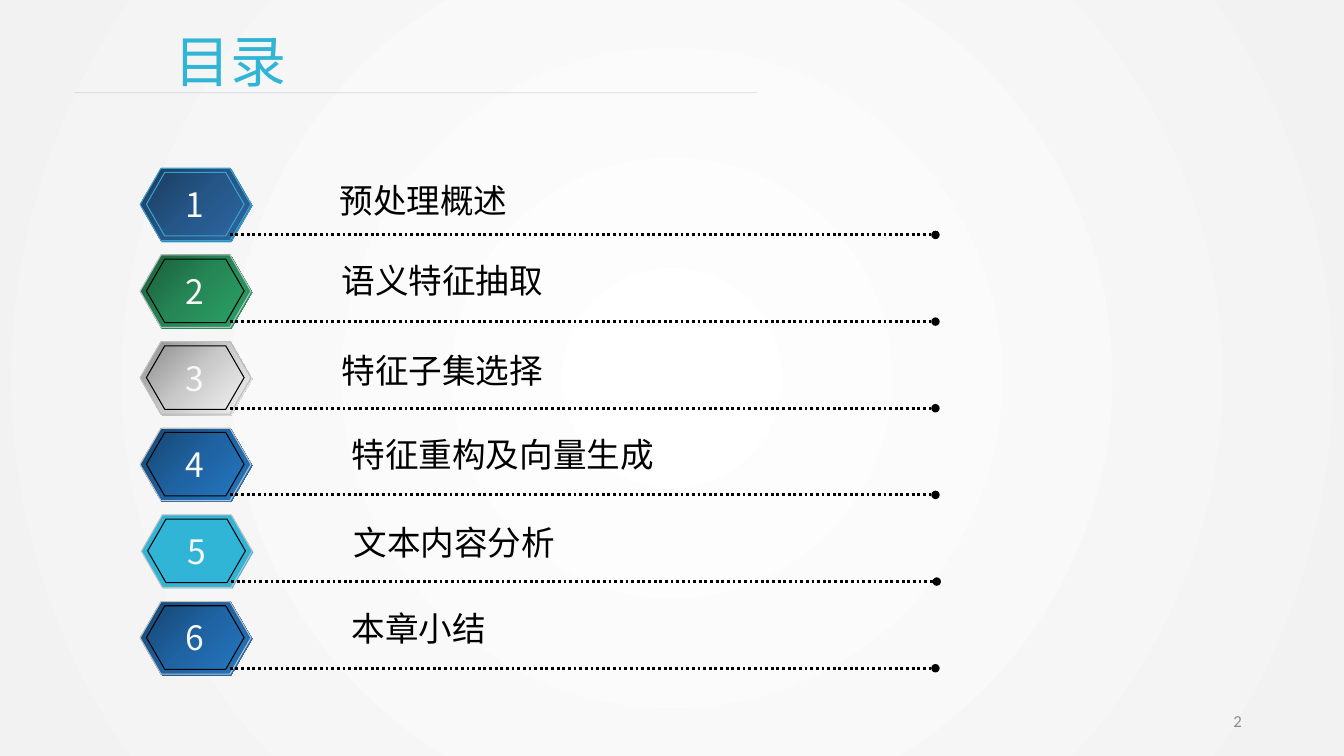
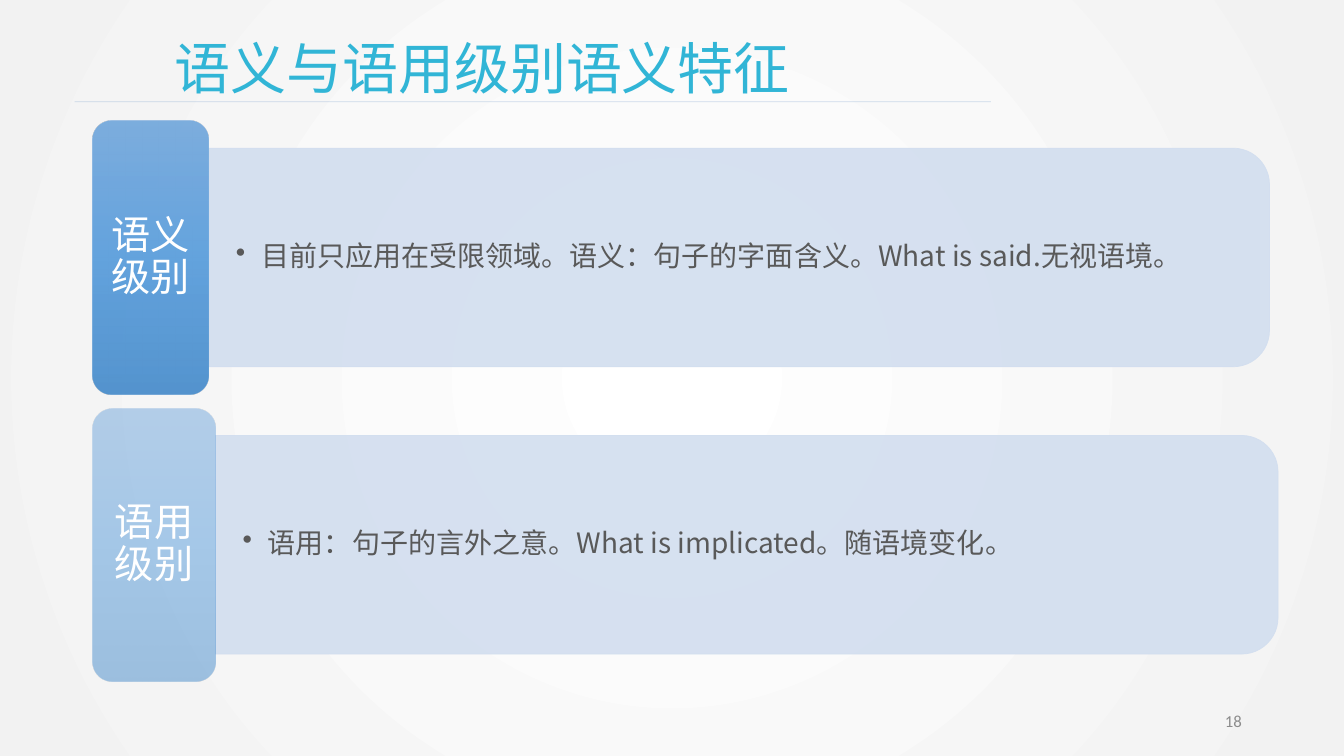
from dataclasses import dataclass
from pptx import Presentation
from pptx.dml.color import RGBColor
from pptx.enum.dml import MSO_LINE
from pptx.enum.shapes import MSO_CONNECTOR, MSO_SHAPE
from pptx.enum.text import MSO_ANCHOR, MSO_AUTO_SIZE, PP_ALIGN
from pptx.oxml import parse_xml
from pptx.oxml.ns import nsdecls, qn
from pptx.util import Pt


@dataclass(frozen=True)
class Theme:
    """Hold the colours, fonts and type sizes of the deck."""
    face: str = "Noto Sans CJK SC"
    plain: str = "Calibri"
    accent: str = "31B5D6"
    ink: str = "000000"
    white: str = "FFFFFF"
    digit: str = "F8F8F8"
    body: str = "595959"
    folio: str = "8C8C8C"
    rule: str = "4A7EBB"
    rim: str = "C0C0C0"
    glow: str = "3DA2CB"
    panel: str = "D2DEEF"
    back: tuple = ("FFFFFF", "F2F2F2")
    navy: tuple = ("1A3C5F", "255687", "2B66A1")
    green: tuple = ("1A5F3C", "258756", "2BA166")
    grey: tuple = ("8F8E8E", "CBCACA", "F1F0F0")
    blue: tuple = ("164672", "1F63A2", "2476C0")
    tab: tuple = ("71A6DB", "559BDB", "448ACA")
    head: int = 40
    label: int = 28
    item: int = 24
    text: int = 20
    small: int = 12


T = Theme()
ROUND = '<a:path path="circle"><a:fillToRect l="50000" t="50000" r="50000" b="50000"/></a:path>'


def slant(angle):
    """Return the direction of a linear gradient."""
    return f'<a:lin ang="{angle * 60000}" scaled="0"/>'


def blend(node, stops, way):
    """Turn the solid fill of a node into an even gradient."""
    last = len(stops) - 1
    marks = "".join(
        f'<a:gs pos="{100000 * i // last}"><a:srgbClr val="{c}"/></a:gs>'
        for i, c in enumerate(stops))
    node.replace(node.find(qn("a:solidFill")), parse_xml(
        f'<a:gradFill {nsdecls("a")} rotWithShape="1"><a:gsLst>{marks}</a:gsLst>{way}</a:gradFill>'))


def veil(shape, share):
    """Give every colour of a shape an opacity in percent."""
    for tone in shape._element.spPr.iter(qn("a:srgbClr")):
        tone.append(parse_xml(f'<a:alpha {nsdecls("a")} val="{share * 1000}"/>'))


def block(shapes, kind, frame, fill, edge=None, width=0.75, angle=45):
    """Add a preset shape with a solid or gradient fill."""
    shape = shapes.add_shape(kind, *map(Pt, frame))
    shape.shadow.inherit = False
    shape.fill.solid()
    if isinstance(fill, tuple):
        blend(shape._element.spPr, fill, slant(angle))
    else:
        shape.fill.fore_color.rgb = RGBColor.from_string(fill)
    if edge:
        shape.line.color.rgb = RGBColor.from_string(edge)
        shape.line.width = Pt(width)
    else:
        shape.line.fill.background()
    return shape


def write(shape, words, size, tone, face=T.face, align=PP_ALIGN.LEFT,
          anchor=MSO_ANCHOR.TOP, wrap=True, pad=(7.2, 3.6), lead=None, dot=False):
    """Set one styled paragraph in a shape."""
    frame = shape.text_frame
    frame.auto_size = MSO_AUTO_SIZE.NONE
    frame.word_wrap = wrap
    frame.vertical_anchor = anchor
    frame.margin_left = frame.margin_right = Pt(pad[0])
    frame.margin_top = frame.margin_bottom = Pt(pad[1])
    para = frame.paragraphs[0]
    para.alignment = align
    if lead:
        para.line_spacing = lead
    if dot:
        props = para._p.get_or_add_pPr()
        props.set("marL", str(Pt(18)))
        props.set("indent", str(-Pt(18)))
        props.append(parse_xml(f'<a:buChar {nsdecls("a")} char="•"/>'))
    run = para.add_run()
    run.text = words
    run.font.size = Pt(size)
    run.font.name = face
    run.font.color.rgb = RGBColor.from_string(tone)
    run._r.get_or_add_rPr().append(parse_xml(f'<a:ea {nsdecls("a")} typeface="{face}"/>'))


def note(shapes, frame, words, size, tone, **style):
    """Add a text box."""
    write(shapes.add_textbox(*map(Pt, frame)), words, size, tone, **style)


def rule(shapes, left, right, top, tone, width, share=None, dots=False):
    """Add a level line, either faint or dotted with a round end."""
    line = shapes.add_connector(MSO_CONNECTOR.STRAIGHT, Pt(left), Pt(top), Pt(right), Pt(top))
    line.line.color.rgb = RGBColor.from_string(tone)
    line.line.width = Pt(width)
    props = line._element.spPr
    if dots:
        line.line.dash_style = MSO_LINE.ROUND_DOT
        props.find(qn("a:ln")).append(parse_xml(f'<a:tailEnd {nsdecls("a")} type="oval"/>'))
    if share:
        veil(line, share)
    props.append(parse_xml(f'<a:effectLst {nsdecls("a")}/>'))


def page(deck, title, top, end, under, folio):
    """Add a slide with its title, title rule and number."""
    slide = deck.slides.add_slide(deck.slide_layouts[5])
    head = slide.shapes.title
    head.left, head.top, head.width, head.height = map(Pt, (117.4, top, 612, 55.4))
    write(head, title, T.head, T.accent)
    rule(slide.shapes, 53.3, end, under, T.rule, 0.5, share=25)
    note(slide.shapes, (678.2, 500.4, 216, 28.8), folio, T.small, T.folio,
         face=T.plain, align=PP_ALIGN.RIGHT, anchor=MSO_ANCHOR.MIDDLE)
    return slide.shapes


def badge(shapes, left, top, digit, fill, edges):
    """Add a numbered hexagon made of three layers."""
    group = shapes.add_group_shape().shapes
    layers = ((0.8, 0.8, 79.2, 51.8), (0, 0, 79.2, 51.8), (4.5, 3, 69.8, 45.4))
    for (x, y, wide, high), edge in zip(layers, edges):
        hexa = block(group, MSO_SHAPE.HEXAGON, (left + x, top + y, wide, high), fill, edge)
        hexa.adjustments[0] = 0.289
    write(hexa, digit, T.item, T.digit, align=PP_ALIGN.CENTER,
          anchor=MSO_ANCHOR.MIDDLE, wrap=False, pad=(0, 0))


def agenda(shapes):
    """Lay out the numbered list of contents."""
    dull = (None, T.rim, T.ink)
    rows = (
        ("预处理概述", 235.4, 125.3, T.navy, (T.glow,) * 3, 0),
        ("语义特征抽取", 236.9, 182.2, T.green, dull, 0),
        ("特征子集选择", 236.9, 246.2, T.grey, dull, 0),
        ("特征重构及向量生成", 244.1, 306.7, T.blue, dull, 0),
        ("文本内容分析", 245.5, 369.4, T.accent, dull, 0.9),
        ("本章小结", 244.1, 430.6, T.blue, dull, 0),
    )
    for i, (words, left, top, fill, edges, shift) in enumerate(rows):
        drop = 61.9 * i
        badge(shapes, 100.1 + shift, 120.2 + drop, str(i + 1), fill, edges)
        rule(shapes, 164.2 + shift, 668.2 + shift, 167.8 + drop, T.ink, 2, dots=True)
        note(shapes, (left, top, T.item * len(words) + 14.4, 36), words, T.item, T.ink, wrap=False)


def level(shapes, top, wide, span, name, words, share):
    """Add a labelled tab with its panel of text."""
    left, tall, high = 66.2, 195.1, 156.2
    edge = left + wide
    inset = (tall - high) / 2
    turned = (edge + (span - high) / 2, top + (tall - span) / 2, high, span)
    panel = block(shapes, MSO_SHAPE.ROUND_2_SAME_RECTANGLE, turned, T.panel, T.panel, 0.5)
    panel.rotation = 90
    veil(panel, 90)
    note(shapes, (edge, top + inset + 7.6, span - 7.6, high - 15.2), words, T.text, T.body,
         anchor=MSO_ANCHOR.MIDDLE, pad=(19.4, 10.1), lead=0.9, dot=True)
    tab = block(shapes, MSO_SHAPE.ROUNDED_RECTANGLE, (left, top, wide, tall), T.tab, angle=90)
    veil(tab, share)
    write(tab, name, T.label, T.white, align=PP_ALIGN.CENTER,
          anchor=MSO_ANCHOR.MIDDLE, pad=(8.6, 4.3), lead=0.9)


def main():
    """Build and save the deck."""
    deck = Presentation()
    deck.slide_width, deck.slide_height = Pt(960), Pt(540)
    master = deck.slide_master
    master.background.fill.solid()
    blend(master.element.find(".//" + qn("p:bgPr")), T.back, ROUND)
    agenda(page(deck, "目录", 15.1, 540.7, 66.2, "2"))
    shapes = page(deck, "语义与语用级别语义特征", 20.2, 707.8, 72.7, "18")
    level(shapes, 86.4, 83, 757.6, "语义级别",
          "目前只应用在受限领域。语义：句子的字面含义。What is said.无视语境。", 90)
    level(shapes, 291.6, 87.8, 758.9, "语用级别",
          "语用：句子的言外之意。What is implicated。随语境变化。", 50)
    deck.save("out.pptx")


if __name__ == "__main__":
    main()
